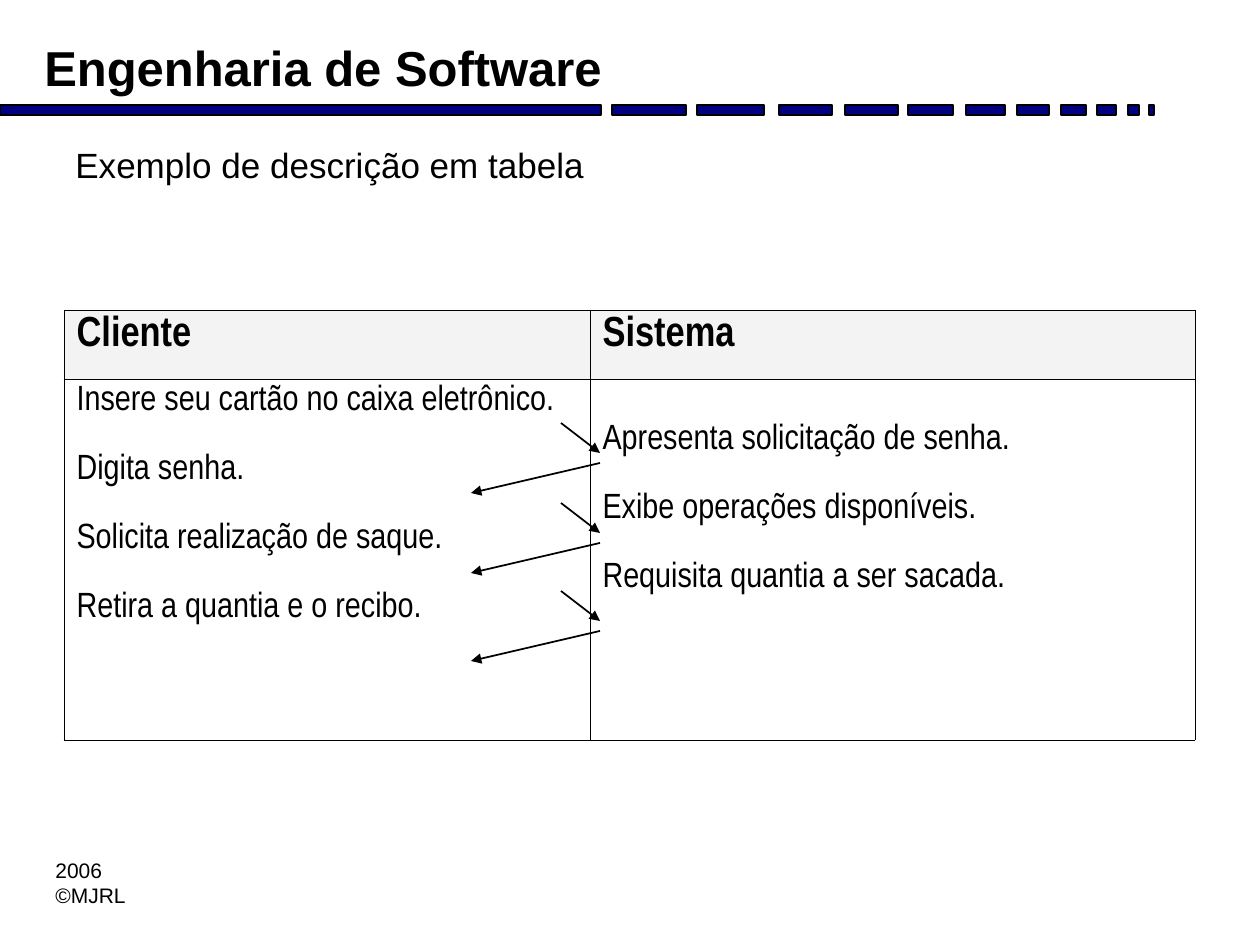
from lxml import etree
from pptx import Presentation
from pptx.dml.color import RGBColor
from pptx.enum.shapes import MSO_CONNECTOR, MSO_SHAPE
from pptx.enum.text import MSO_ANCHOR, PP_ALIGN
from pptx.oxml.ns import qn
from pptx.util import Emu, Pt

STRAIGHT = MSO_CONNECTOR.STRAIGHT
RECTANGLE = MSO_SHAPE.RECTANGLE
TOP, MIDDLE, BOTTOM = MSO_ANCHOR.TOP, MSO_ANCHOR.MIDDLE, MSO_ANCHOR.BOTTOM
JUSTIFY = PP_ALIGN.JUSTIFY

BLACK = RGBColor(0x00, 0x00, 0x00)
WHITE = RGBColor(0xFF, 0xFF, 0xFF)
NAVY = RGBColor(0x00, 0x00, 0x80)
HEADER_GREY = RGBColor(0xF3, 0xF3, 0xF3)

EMU_PER_PX = 914400 // 126
HANGING = 48

# Left edge and width of each dash in the rule
DASHES = [(0, 601), (612, 74), (697, 67), (779, 53), (845, 53), (908, 45),
          (966, 39), (1017, 32), (1061, 25), (1097, 19), (1128, 11), (1149, 5)]

CLIENT_STEPS = ["Insere seu cartão no caixa eletrônico.", "Digita senha.",
                "Solicita realização de saque.", "Retira a quantia e o recibo."]
SYSTEM_STEPS = ["Apresenta solicitação de senha.", "Exibe operações disponíveis.",
                "Requisita quantia a ser sacada."]


def px(length):
    return Emu(length * EMU_PER_PX)


def set_font(font, **values):
    font.color.rgb = BLACK
    for attribute, value in values.items():
        setattr(font, attribute, value)


def add_text(slide, box, lines, size, bold=False, anchor=TOP, wrap=True):
    text_box = slide.shapes.add_textbox(*map(px, box))
    frame = text_box.text_frame
    frame.word_wrap = wrap
    frame.vertical_anchor = anchor
    frame.text = "\n".join(lines)
    for paragraph in frame.paragraphs:
        set_font(paragraph.font, name="Arial", size=Pt(size), bold=bold)
    return text_box


def add_rule(slide, box):
    left, top, _, height = box
    for offset, width in DASHES:
        dash = slide.shapes.add_shape(
            RECTANGLE, px(left + offset), px(top), px(width), px(height))
        dash.shadow.inherit = False
        dash.fill.solid()
        dash.fill.fore_color.rgb = NAVY
        dash.line.color.rgb = BLACK
        dash.line.width = Pt(1)


def add_borders(cell):
    properties = cell._tc.get_or_add_tcPr()
    for position, side in enumerate(("a:lnL", "a:lnR", "a:lnT", "a:lnB")):
        line = etree.Element(qn(side), w=str(Pt(0.45)))
        fill = etree.SubElement(line, qn("a:solidFill"))
        etree.SubElement(fill, qn("a:srgbClr"), val=str(BLACK))
        properties.insert(position, line)


def fill_cell(cell, lines, fill, size, bold=False, align=None, margin_top=6):
    cell.fill.solid()
    cell.fill.fore_color.rgb = fill
    add_borders(cell)
    cell.margin_top = px(margin_top)
    cell.text = "\n".join(lines)
    for index, paragraph in enumerate(cell.text_frame.paragraphs):
        properties = paragraph._p.get_or_add_pPr()
        properties.set("marL", str(px(HANGING)))
        properties.set("indent", str(-px(HANGING)))
        paragraph.alignment = align
        if index:
            paragraph.space_before = Pt(20.5)
        set_font(paragraph.font, name="Arial Narrow", size=Pt(size), bold=bold)


def add_arrow(slide, start, end):
    arrow = slide.shapes.add_connector(STRAIGHT, *map(px, start + end))
    arrow.line.color.rgb = BLACK
    arrow.line.width = Pt(1)
    etree.SubElement(arrow.line._get_or_add_ln(), qn("a:tailEnd"), type="triangle")
    etree.SubElement(arrow._element.spPr, qn("a:effectLst"))


def add_dialogue(slide, box):
    left, top, width, height = box
    client_width, header_height = 526, 69
    table = slide.shapes.add_table(2, 2, *map(px, box)).table
    table.columns[0].width = px(client_width)
    table.columns[1].width = px(width - client_width)
    table.rows[0].height = px(header_height)
    table.rows[1].height = px(height - header_height)

    for column, heading in enumerate(("Cliente", "Sistema")):
        fill_cell(table.cell(0, column), [heading], HEADER_GREY, 24, True, JUSTIFY)
    fill_cell(table.cell(1, 0), CLIENT_STEPS, WHITE, 20)
    fill_cell(table.cell(1, 1), SYSTEM_STEPS, WHITE, 20, margin_top=45)

    # Each exchange goes to the system and comes back to the client
    system_x = left + client_width + 10
    for offset in (113, 193, 281):
        request_y = top + offset
        reply_y = request_y + 40
        add_arrow(slide, (system_x - 39, request_y), (system_x, request_y + 30))
        add_arrow(slide, (system_x, reply_y), (system_x - 129, reply_y + 30))


def main():
    presentation = Presentation()
    presentation.slide_width = px(1260)
    presentation.slide_height = px(945)
    slide = presentation.slides.add_slide(presentation.slide_layouts[6])

    # Heading and footer
    add_rule(slide, (0, 105, 1154, 10))
    add_text(slide, (32, 32, 609, 71), ["Engenharia de Software"], 28, True, BOTTOM)
    add_text(slide, (43, 851, 96, 63), ["2006", "©MJRL"], 12, wrap=False)

    # Body
    add_dialogue(slide, (64, 310, 1131, 430))
    subtitle = add_text(slide, (63, 135, 1134, 60),
                        ["Exemplo de descrição em tabela"], 20, anchor=MIDDLE)
    subtitle.fill.solid()
    subtitle.fill.fore_color.rgb = WHITE

    presentation.save("out.pptx")


if __name__ == "__main__":
    main()
